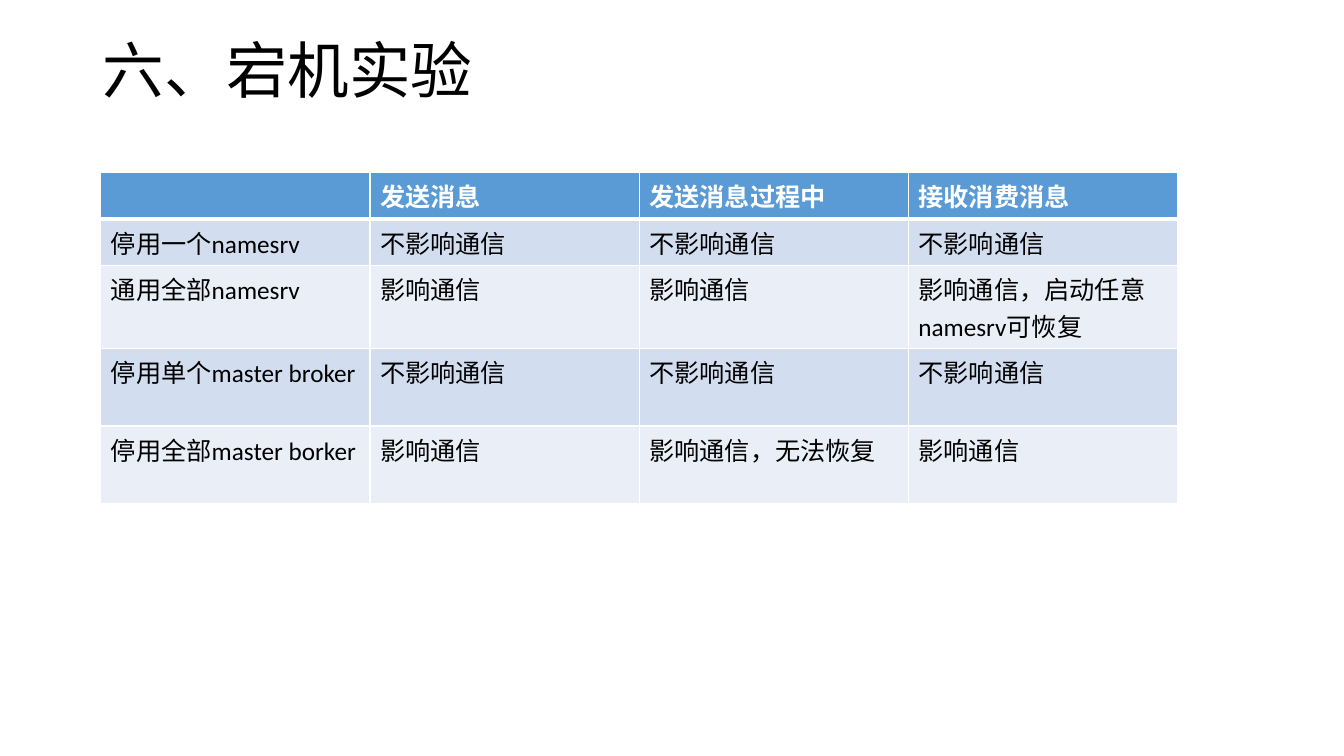
import pptx
import pptx.util
import pptx.dml.color
import pptx.enum.text
import pptx.oxml
import pptx.oxml.ns

Inches, Pt = pptx.util.Inches, pptx.util.Pt


def color(value):
    return pptx.dml.color.RGBColor.from_string(value)


def add_border(cell, side, width):
    tcPr = cell._tc.get_or_add_tcPr()
    tcPr.append(pptx.oxml.parse_xml(
        f'<a:{side} {pptx.oxml.ns.nsdecls("a")} w="{Pt(width)}">'
        f'<a:solidFill><a:srgbClr val="FFFFFF"/></a:solidFill></a:{side}>'))


prs = pptx.Presentation()
prs.slide_width, prs.slide_height = Inches(13.33), Inches(7.5)
s = prs.slides.add_slide(prs.slide_layouts[5])

# Title
title = s.shapes.title
for name, value in dict(left=0.92, top=0.4, width=11.5, height=1.45).items():
    setattr(title, name, Inches(value))
tf = title.text_frame
tf.margin_top = 0
tf.vertical_anchor = pptx.enum.text.MSO_ANCHOR.TOP
p = tf.paragraphs[0]
p.alignment = pptx.enum.text.PP_ALIGN.LEFT
p.line_spacing = 0.9
r = p.add_run()
r.text = "六、宕机实验"
for name, value in dict(name="Calibri", size=Pt(44)).items():
    setattr(r.font, name, value)
r.font.color.rgb = color("000000")

# Outage results table
rows = [
    ["", "发送消息", "发送消息过程中", "接收消费消息"],
    ["停用一个namesrv", "不影响通信", "不影响通信", "不影响通信"],
    ["通用全部namesrv", "影响通信", "影响通信", "影响通信，启动任意namesrv可恢复"],
    ["停用单个master broker", "不影响通信", "不影响通信", "不影响通信"],
    ["停用全部master borker", "影响通信", "影响通信，无法恢复", "影响通信"],
]
table = s.shapes.add_table(len(rows), len(rows[0]), Inches(1), Inches(1.71),
                           Inches(10.68), Inches(2.05)).table
for i, texts in enumerate(rows):
    header = i == 0
    fill = "5B9BD5" if header else ("EAEFF7", "D2DEEF")[i % 2]
    font = dict(name="Calibri", size=Pt(18), bold=header)
    # The rule under the header is thicker than the other borders
    borders = dict(lnL=1, lnR=1, lnT=3 if i == 1 else 1, lnB=3 if header else 1)
    for j, text in enumerate(texts):
        cell = table.cell(i, j)
        for side, width in borders.items():
            add_border(cell, side, width)
        cell.fill.solid()
        cell.fill.fore_color.rgb = color(fill)
        p = cell.text_frame.paragraphs[0]
        if text:
            r = p.add_run()
            r.text = text
            for name, value in font.items():
                setattr(r.font, name, value)
            r.font.color.rgb = color("FFFFFF" if header else "000000")

prs.save("out.pptx")
